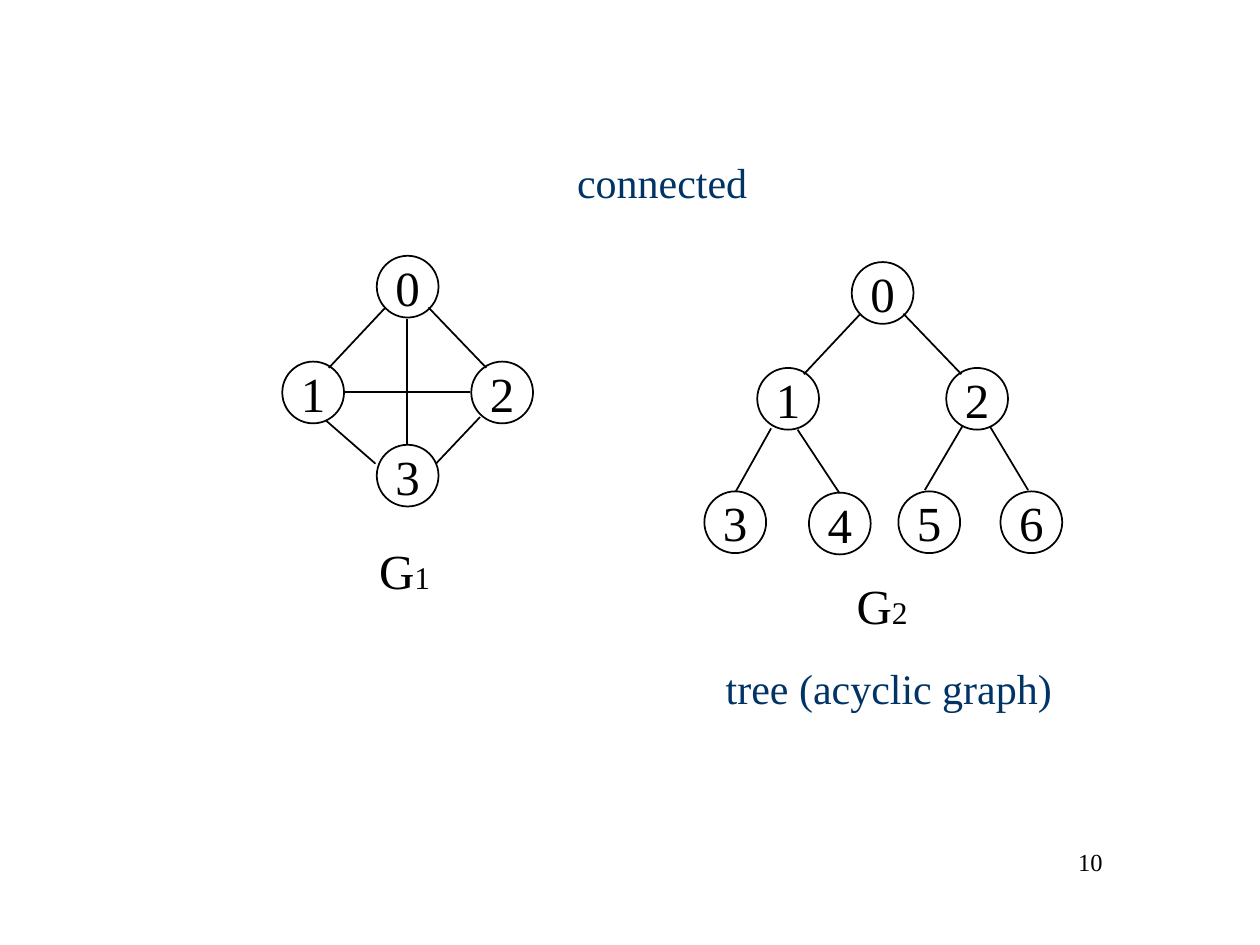
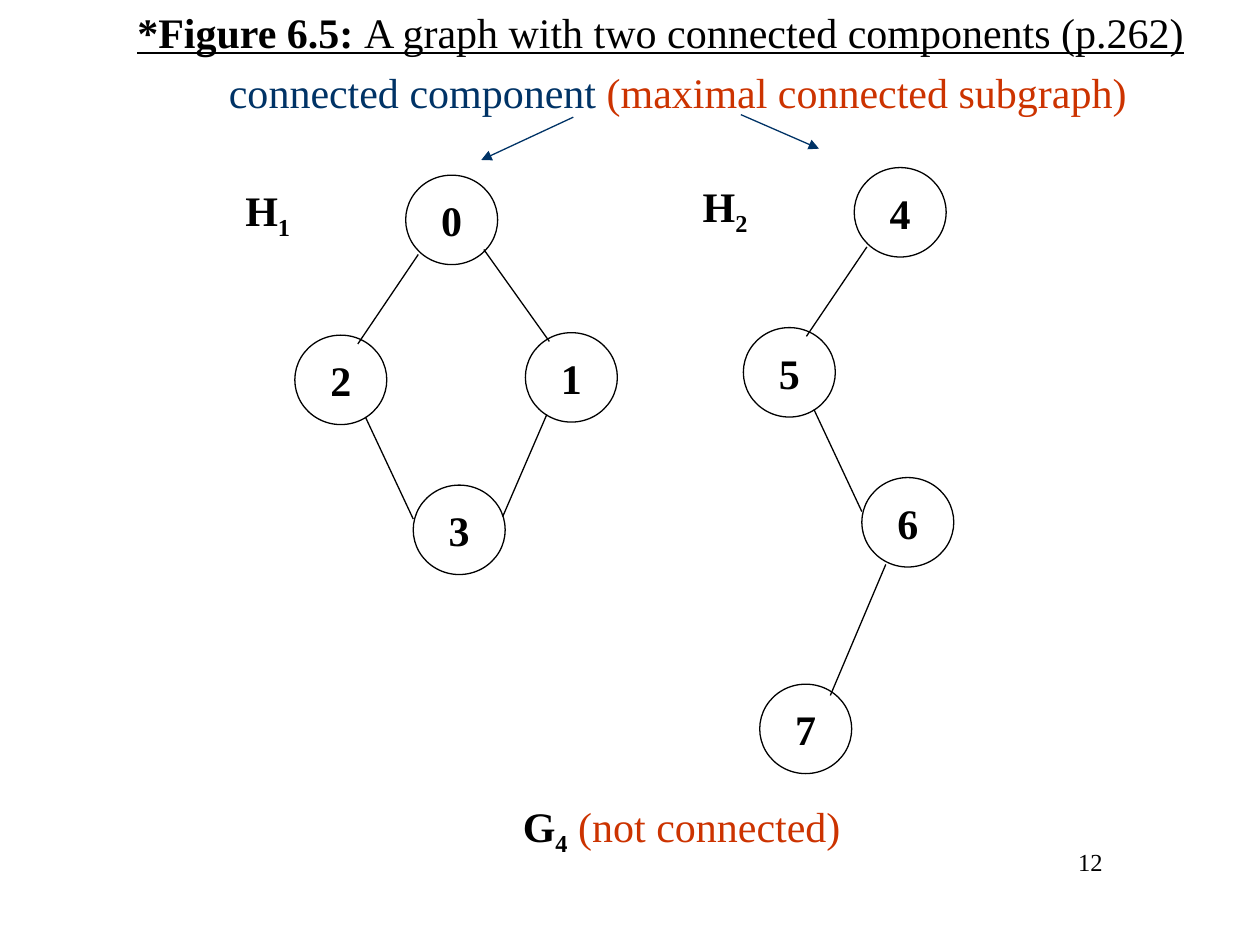
"""Builds two slides on connected graphs and connected components."""
import pptx
import pptx.dml.color
import pptx.enum.shapes
import pptx.enum.text
import pptx.oxml
import pptx.oxml.ns
import pptx.util

BLACK = pptx.dml.color.RGBColor(0x00, 0x00, 0x00)
WHITE = pptx.dml.color.RGBColor(0xFF, 0xFF, 0xFF)
NAVY = pptx.dml.color.RGBColor(0x00, 0x33, 0x66)
RUST = pptx.dml.color.RGBColor(0xCC, 0x33, 0x00)
FONT = "Times New Roman"
LEFT = pptx.enum.text.PP_ALIGN.LEFT
CENTER = pptx.enum.text.PP_ALIGN.CENTER
RIGHT = pptx.enum.text.PP_ALIGN.RIGHT
TOP = pptx.enum.text.MSO_ANCHOR.TOP
MIDDLE = pptx.enum.text.MSO_ANCHOR.MIDDLE

presentation = pptx.Presentation()
presentation.slide_width = pptx.util.Inches(10)
presentation.slide_height = pptx.util.Inches(7.5)
COLUMN = presentation.slide_width / 100
ROW = presentation.slide_height / 75


def write_text(shape, runs, align=CENTER, anchor=MIDDLE):
    """Fill a shape with one paragraph of (text, size, colour, bold, baseline) runs."""
    frame = shape.text_frame
    frame.word_wrap = False
    frame.auto_size = pptx.enum.text.MSO_AUTO_SIZE.NONE
    frame.vertical_anchor = anchor
    paragraph = frame.paragraphs[0]
    paragraph.alignment = align
    for text, size, color, bold, baseline in runs:
        run = paragraph.add_run()
        run.text = text
        run.font.name = FONT
        run.font.size = pptx.util.Pt(size)
        run.font.color.rgb = color
        run.font.bold = bold
        if baseline:
            run.font._element.set("baseline", str(baseline * 1000))


def add_line(slide, x1, y1, x2, y2, color, width, arrow=False):
    """Draw a straight line between two grid points."""
    line = slide.shapes.add_connector(
        pptx.enum.shapes.MSO_CONNECTOR.STRAIGHT,
        round(x1 * COLUMN), round(y1 * ROW), round(x2 * COLUMN), round(y2 * ROW))
    line.line.color.rgb = color
    line.line.width = pptx.util.Pt(width)
    if arrow:
        tail = pptx.oxml.parse_xml(
            f'<a:tailEnd {pptx.oxml.ns.nsdecls("a")} type="triangle"/>')
        line.line._get_or_add_ln().append(tail)
    line._element.spPr.append(
        pptx.oxml.parse_xml(f'<a:effectLst {pptx.oxml.ns.nsdecls("a")}/>'))


connected_slide = presentation.slides.add_slide(presentation.slide_layouts[6])
components_slide = presentation.slides.add_slide(presentation.slide_layouts[5])

title = components_slide.shapes.title
title.left, title.top = round(9.9 * COLUMN), 0
title.width, title.height = round(85.3 * COLUMN), round(5 * ROW)
write_text(title, [
    ("*Figure 6.5: ", 24, BLACK, True, 0),
    ("A graph with two connected components (p.262)", 24, BLACK, False, 0),
], LEFT)
for run in title.text_frame.paragraphs[0].runs:
    run.font.underline = True

fork_nodes = [(29.9, 20.3), (22.4, 28.7), (37.4, 28.7)]
fork_edges = [(30.6, 24.4, 26.1, 29.2), (34, 24.4, 38.6, 29.2)]
chain_nodes = [(32.2, 13.9), (23.4, 26.6), (32.8, 38.5)]
chain_edges = [(33.2, 20.2, 28.4, 27.3), (29, 33.1, 32.8, 41.2)]

small_style = (4.9, 4.9, 28, False, 1)
large_style = (7.3, 7.1, 24, True, 0.75)

# Each entry: slide, style, shift, labels, nodes, edges
graphs = [
    (connected_slide, small_style, 0, 0, "012", fork_nodes, fork_edges),
    (connected_slide, small_style, 0, 0, "3", [(29.9, 35.3)], [
        (32.3, 25.3, 32.3, 35.3), (27.3, 31.1, 37.3, 31.1),
        (25.9, 33.4, 29.8, 36.8), (38.1, 33.1, 34.6, 36.8)]),
    (connected_slide, small_style, 37.7, 0.5, "012", fork_nodes, fork_edges),
    (connected_slide, small_style, 0, 0, "3456",
     [(55.9, 39), (64.2, 39.1), (71.3, 39), (79.4, 39)], [
         (61.2, 34, 58.4, 39), (63.3, 34.1, 66.6, 39.1),
         (76.4, 33.8, 73.4, 38.9), (78.6, 33.9, 81.6, 38.9)]),
    (components_slide, large_style, 0, 0, "023", chain_nodes, chain_edges),
    (components_slide, large_style, 0, 0, "1", [(41.7, 26.4)], [
        (38.4, 19.8, 43.6, 27.1), (43.4, 32.9, 39.9, 41)]),
    (components_slide, large_style, 35.6, -0.6, "456", chain_nodes, chain_edges),
    (components_slide, large_style, 0, 0, "7", [(60.3, 54.3)], [
        (70.3, 44.8, 65.9, 55.2)]),
]
for slide, style, shift_x, shift_y, labels, nodes, edges in graphs:
    node_width, node_height, size, bold, line_width = style
    for label, (left, top) in zip(labels, nodes):
        node = slide.shapes.add_shape(
            pptx.enum.shapes.MSO_SHAPE.OVAL,
            round((left + shift_x) * COLUMN), round((top + shift_y) * ROW),
            round(node_width * COLUMN), round(node_height * ROW))
        node.shadow.inherit = False
        node.fill.solid()
        node.fill.fore_color.rgb = WHITE
        node.line.color.rgb = BLACK
        node.line.width = pptx.util.Pt(line_width)
        write_text(node, [(label, size, BLACK, bold, 0)])
    for x1, y1, x2, y2 in edges:
        add_line(slide, x1 + shift_x, y1 + shift_y, x2 + shift_x, y2 + shift_y,
                 BLACK, line_width)

for arrow in [(45.5, 9.3, 38.2, 12.7), (58.8, 9.1, 65, 11.8)]:
    add_line(components_slide, *arrow, NAVY, 0.75, arrow=True)

captions = [
    (connected_slide, 29.1, 42.4, 6.1, 5.7, LEFT, TOP,
     [("G", 28, BLACK, False, 0), ("1", 18, BLACK, False, 0)]),
    (connected_slide, 67, 45.2, 6.1, 5.7, LEFT, TOP,
     [("G", 28, BLACK, False, 0), ("2", 18, BLACK, False, 0)]),
    (connected_slide, 44.8, 11.9, 15.5, 5, CENTER, MIDDLE,
     [("connected", 24, NAVY, False, 0)]),
    (connected_slide, 56.6, 52.1, 27.9, 5, CENTER, MIDDLE,
     [("tree (acyclic graph)", 24, NAVY, False, 0)]),
    (components_slide, 17.2, 4.8, 73.2, 5, CENTER, MIDDLE,
     [("connected component ", 24, NAVY, False, 0),
      ("(maximal connected subgraph)", 24, RUST, False, 0)]),
    (components_slide, 18.5, 14.1, 5.5, 5.6, CENTER, MIDDLE,
     [("H", 24, BLACK, True, 0), ("1", 24, BLACK, True, -25)]),
    (components_slide, 54.8, 13.8, 5.5, 5.6, CENTER, MIDDLE,
     [("H", 24, BLACK, True, 0), ("2", 24, BLACK, True, -25)]),
    (components_slide, 40.5, 63, 27.2, 5.6, CENTER, MIDDLE,
     [("G", 24, BLACK, True, 0), ("4", 24, BLACK, True, -25),
      (" (not connected)", 24, RUST, False, 0)]),
]
for slide, number in [(connected_slide, "10"), (components_slide, "12")]:
    captions.append((slide, 67.7, 66.7, 20.8, 5, RIGHT, TOP,
                     [(number, 14, BLACK, False, 0)]))
for slide, left, top, width, height, align, anchor, runs in captions:
    caption = slide.shapes.add_textbox(
        round(left * COLUMN), round(top * ROW),
        round(width * COLUMN), round(height * ROW))
    write_text(caption, runs, align, anchor)
    caption.text_frame.word_wrap = align == RIGHT

presentation.save("out.pptx")
